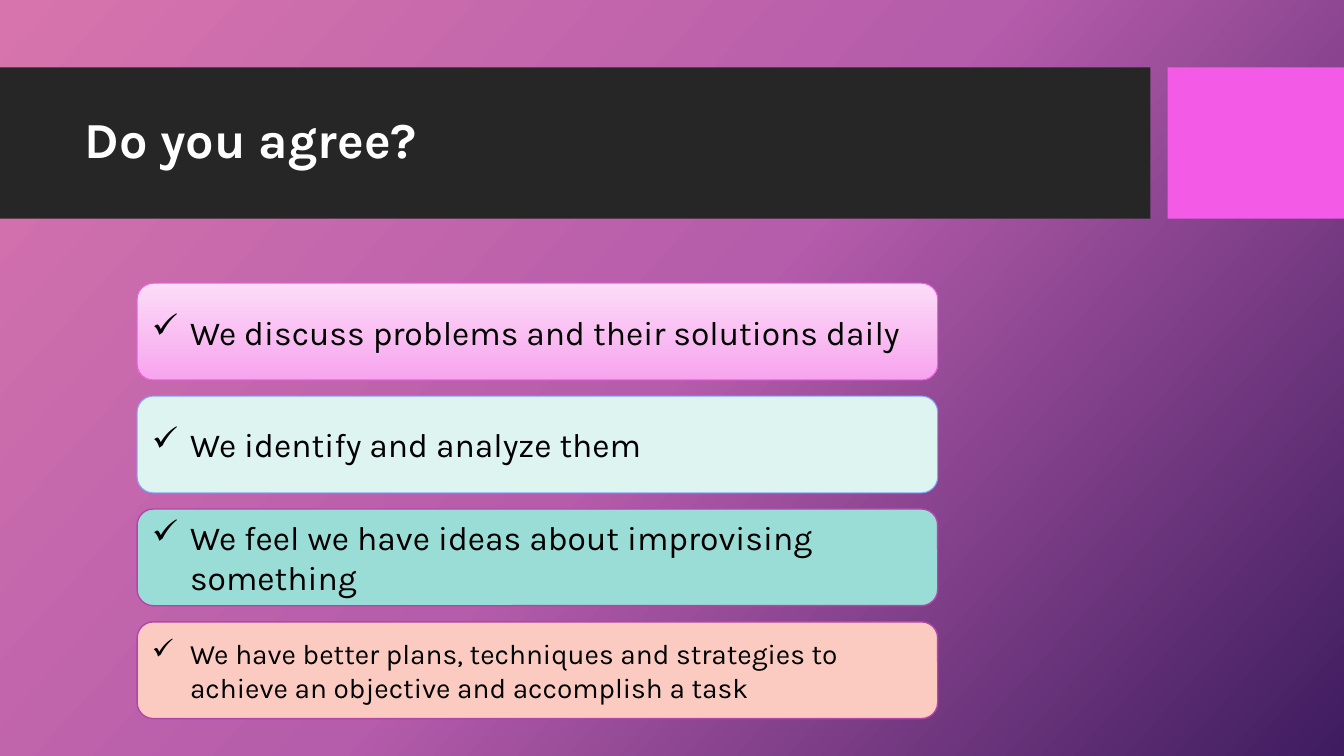
from copy import deepcopy

from lxml.etree import SubElement
from pptx import Presentation
from pptx.dml.color import RGBColor
from pptx.enum.shapes import MSO_SHAPE as Shape
from pptx.enum.text import MSO_ANCHOR as Anchor, MSO_AUTO_SIZE as AutoSize, PP_ALIGN as Align
from pptx.oxml.ns import qn
from pptx.util import Inches, Pt

BLACK = RGBColor(0x00, 0x00, 0x00)
WHITE = RGBColor(0xFF, 0xFF, 0xFF)
CHARCOAL = RGBColor(0x26, 0x26, 0x26)
PINK = RGBColor(0xF3, 0x5A, 0xE6)
PALE_PINK = RGBColor(0xFC, 0xDC, 0xF8)
LIGHT_PINK = RGBColor(0xF7, 0xA4, 0xEE)
ICE = RGBColor(0xDD, 0xF4, 0xF1)
BLUE = RGBColor(0x84, 0xA3, 0xFD)
AQUA = RGBColor(0x99, 0xDD, 0xD6)
PURPLE = RGBColor(0xB4, 0x43, 0xAA)
PEACH = RGBColor(0xFB, 0xCB, 0xC1)
ROSE = RGBColor(0xD7, 0x74, 0xAD)
ORCHID = RGBColor(0xB5, 0x5C, 0xAB)
INDIGO = RGBColor(0x3E, 0x1C, 0x5F)

# Grid of 100 columns by 100 rows
BAND_TOP, BAND_HEIGHT = 8.93, 20
CARD_LEFT, CARD_TOP, CARD_WIDTH, CARD_HEIGHT, CARD_PITCH = 10.2, 37.47, 59.57, 12.8, 14.93

STATEMENTS = [
    ("We discuss problems and their solutions daily", [PALE_PINK, LIGHT_PINK], PINK, 0.75, 24),
    ("We identify and analyze them", [ICE], BLUE, 0.75, 24),
    ("We feel we have ideas about improvising something", [AQUA], PURPLE, 1, 24),
    ("We have better plans, techniques and strategies to achieve an objective "
     "and accomplish a task", [PEACH], PURPLE, 1, 20),
]


def paint(fill, colors, angle=90):
    """Fill with one colour, or spread several evenly at a clockwise angle."""
    if len(colors) == 1:
        fill.solid()
        fill.fore_color.rgb = colors[0]
        return
    fill.gradient()
    fill.gradient_angle = 360 - angle
    stop_list = fill._fill._gradFill.find(qn("a:gsLst"))
    while len(stop_list) < len(colors):
        stop_list.append(deepcopy(stop_list[-1]))
    for index, (stop, color) in enumerate(zip(fill.gradient_stops, colors)):
        stop.position = index / (len(colors) - 1)
        stop.color.rgb = color


def write_text(frame, text, size, color, bold=False, bullet=None, spacing=None):
    frame.word_wrap = True
    frame.auto_size = AutoSize.NONE
    frame.vertical_anchor = Anchor.MIDDLE
    para = frame.paragraphs[0]
    para.alignment = Align.LEFT
    if spacing:
        para.line_spacing = spacing
    if bullet:
        properties = para._p.get_or_add_pPr()
        properties.set("marL", str(Inches(0.38)))
        properties.set("indent", str(Inches(-0.38)))
        SubElement(properties, qn("a:buChar")).set("char", bullet)
    span = para.add_run()
    span.text = text
    span.font.name = "Karla"
    span.font.size = Pt(size)
    span.font.bold = bold
    span.font.color.rgb = color


class SlideBuilder:
    def __init__(self, deck):
        self.column = deck.slide_width / 100
        self.row = deck.slide_height / 100
        self.slide = deck.slides.add_slide(deck.slide_layouts[5])

    def place(self, left, top, width, height):
        return (round(left * self.column), round(top * self.row),
                round(width * self.column), round(height * self.row))

    def background(self, colors, angle):
        paint(self.slide.background.fill, colors, angle)

    def shape(self, kind, area, colors):
        box = self.slide.shapes.add_shape(kind, *self.place(*area))
        box.shadow.inherit = False
        paint(box.fill, colors)
        return box

    def band(self, left, width, color):
        """Draw a header band behind the title."""
        box = self.shape(Shape.RECTANGLE, (left, BAND_TOP, width, BAND_HEIGHT), [color])
        box.line.fill.background()
        self.slide.shapes.title.element.addprevious(box.element)

    def title(self, text):
        title = self.slide.shapes.title
        title.left, title.top, title.width, title.height = self.place(5.55, 10.93, 78.84, 15.73)
        write_text(title.text_frame, text, 36, WHITE, bold=True, spacing=0.9)

    def card(self, index, text, colors, border, weight, size):
        area = (CARD_LEFT, CARD_TOP + index * CARD_PITCH, CARD_WIDTH, CARD_HEIGHT)
        box = self.shape(Shape.ROUNDED_RECTANGLE, area, colors)
        box.line.color.rgb = border
        box.line.width = Pt(weight)
        write_text(box.text_frame, text, size, BLACK, bullet="✓")


def main():
    deck = Presentation()
    deck.slide_width, deck.slide_height = Inches(13.33), Inches(7.5)
    builder = SlideBuilder(deck)
    builder.background([ROSE, ORCHID, INDIGO], 42)
    builder.band(0, 85.6, CHARCOAL)
    builder.band(86.87, 13.13, PINK)
    builder.title("Do you agree?")
    for index, statement in enumerate(STATEMENTS):
        builder.card(index, *statement)
    deck.save("out.pptx")


if __name__ == "__main__":
    main()
